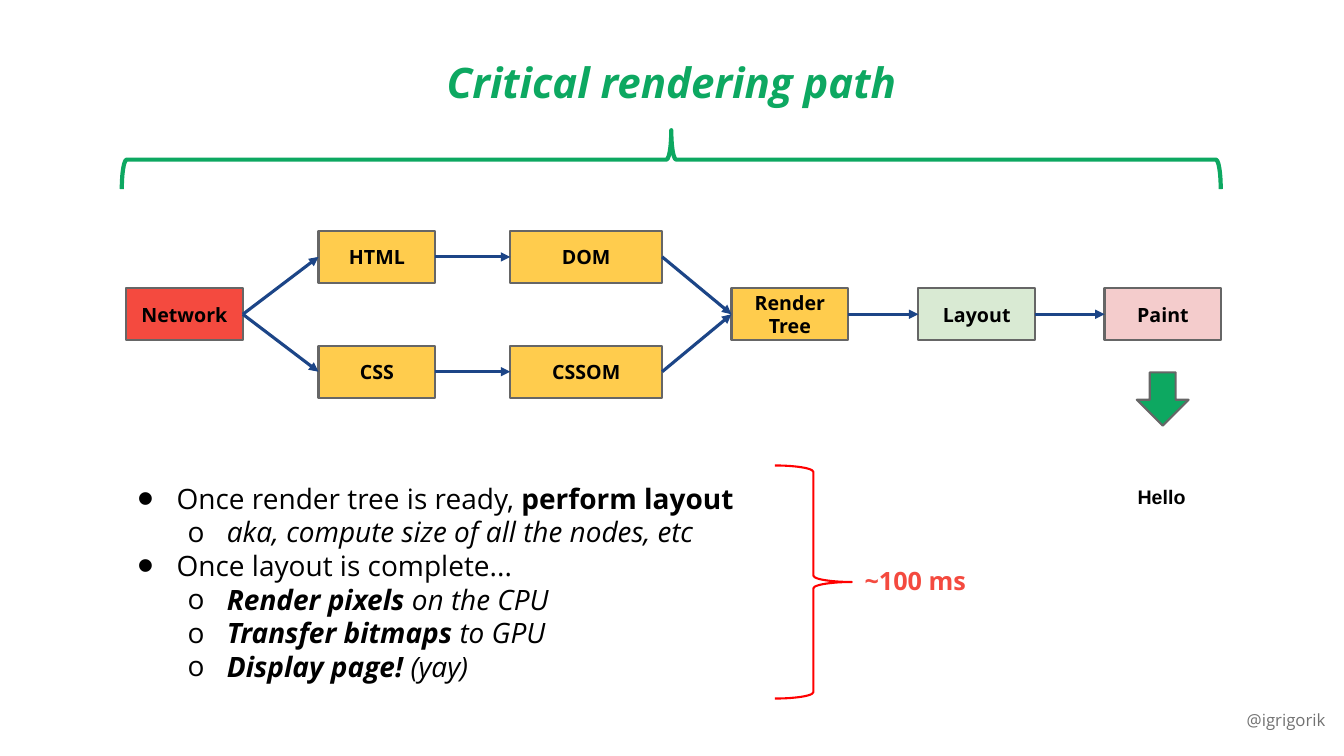
from pptx import Presentation
from pptx.dml.color import RGBColor
from pptx.enum.shapes import MSO_CONNECTOR, MSO_SHAPE
from pptx.enum.text import MSO_ANCHOR, MSO_AUTO_SIZE, PP_ALIGN
from pptx.oxml.ns import qn
from pptx.util import Pt
from lxml.etree import SubElement

BLACK = RGBColor(0x00, 0x00, 0x00)
GRAY = RGBColor(0x66, 0x66, 0x66)
FOOTER_GRAY = RGBColor(0x72, 0x72, 0x72)
YELLOW = RGBColor(0xFF, 0xCC, 0x4D)
CORAL = RGBColor(0xF4, 0x4A, 0x3F)
RED = RGBColor(0xFF, 0x00, 0x00)
PALE_GREEN = RGBColor(0xD9, 0xEA, 0xD3)
PINK = RGBColor(0xF4, 0xCC, 0xCC)
GREEN = RGBColor(0x0D, 0xA8, 0x61)
NAVY = RGBColor(0x1C, 0x45, 0x87)


def add_run(paragraph, text, size, color=BLACK, bold=False, italic=False, font="Open Sans"):
    run = paragraph.add_run()
    run.text = text
    run.font.name = font
    run.font.size = Pt(size)
    run.font.color.rgb = color
    run.font.bold = bold
    run.font.italic = italic


def set_frame(shape, anchor=MSO_ANCHOR.TOP):
    frame = shape.text_frame
    frame.word_wrap = True
    frame.auto_size = MSO_AUTO_SIZE.NONE
    frame.vertical_anchor = anchor
    frame.margin_left = frame.margin_right = Pt(7.2)
    frame.margin_top = frame.margin_bottom = Pt(7.2)
    return frame


prs = Presentation()
prs.slide_width, prs.slide_height = Pt(960), Pt(540)
slide = prs.slides.add_slide(prs.slide_layouts[5])
shapes = slide.shapes

# Title
title = shapes.title
title.left, title.top, title.width, title.height = Pt(133.5), Pt(33), Pt(692.5), Pt(47)
heading = set_frame(title).paragraphs[0]
heading.alignment = PP_ALIGN.CENTER
add_run(heading, "Critical rendering path", 30, GREEN, bold=True, italic=True)

# Pipeline stages: name, left, row relative to the middle, width, fill
MIDDLE, ROW_STEP, STAGE_HEIGHT = 224.5, 41, 37
stages = [
    ("HTML", 227.5, -1, 83.5, YELLOW),
    ("CSS", 227.5, 1, 83.5, YELLOW),
    ("DOM", 364.5, -1, 108.5, YELLOW),
    ("CSSOM", 364.5, 1, 108.5, YELLOW),
    ("Render Tree", 522.5, 0, 83.5, YELLOW),
    ("Layout", 656, 0, 83.5, PALE_GREEN),
    ("Paint", 789, 0, 83.5, PINK),
    ("Network", 90, 0, 83.5, CORAL),
]
stage_boxes = {}
for name, left, row, width, fill in stages:
    top = MIDDLE + row * ROW_STEP - STAGE_HEIGHT / 2
    box = shapes.add_shape(MSO_SHAPE.RECTANGLE, Pt(left), Pt(top), Pt(width), Pt(STAGE_HEIGHT))
    box.shadow.inherit = False
    box.fill.solid()
    box.fill.fore_color.rgb = fill
    box.line.color.rgb = GRAY
    box.line.width = Pt(1.5)
    label = set_frame(box, MSO_ANCHOR.MIDDLE).paragraphs[0]
    label.alignment = PP_ALIGN.CENTER
    add_run(label, name, 14, bold=True)
    stage_boxes[name] = box

# Arrows between stages
flows = [
    ("Network", "HTML"), ("Network", "CSS"), ("HTML", "DOM"), ("CSS", "CSSOM"),
    ("DOM", "Render Tree"), ("CSSOM", "Render Tree"),
    ("Render Tree", "Layout"), ("Layout", "Paint"),
]
for source, target in flows:
    flow = shapes.add_connector(MSO_CONNECTOR.STRAIGHT, 0, 0, 0, 0)
    flow.begin_connect(stage_boxes[source], 3)
    flow.end_connect(stage_boxes[target], 1)
    flow.line.color.rgb = NAVY
    flow.line.width = Pt(2.25)
    SubElement(flow.line._get_or_add_ln(), qn("a:tailEnd"), type="triangle")
    SubElement(flow._element.spPr, qn("a:effectLst"))

# Braces over the pipeline and beside the bullets
braces = [
    (458.5, -278.5, 42, 785, 270, GREEN, 3),
    (553.5, 332.5, 55, 166.5, 0, RED, 1.5),
]
for left, top, width, height, rotation, color, weight in braces:
    brace = shapes.add_shape(MSO_SHAPE.RIGHT_BRACE, Pt(left), Pt(top), Pt(width), Pt(height))
    brace.rotation = rotation
    brace.adjustments[0] = 0.083
    brace.shadow.inherit = False
    brace.fill.background()
    brace.line.color.rgb = color
    brace.line.width = Pt(weight)

# Arrow from Paint to the painted result
paint_arrow = shapes.add_shape(MSO_SHAPE.RIGHT_ARROW, Pt(811.5), Pt(266.5), Pt(38), Pt(37))
paint_arrow.rotation = 90
paint_arrow.shadow.inherit = False
paint_arrow.fill.solid()
paint_arrow.fill.fore_color.rgb = GREEN
paint_arrow.line.color.rgb = GRAY
paint_arrow.line.width = Pt(1.5)

# Short texts: result, duration, author handle
notes = [
    ("Hello", 805.5, 339, 50, 33, 14, BLACK, True, "Arial", PP_ALIGN.LEFT),
    ("~100 ms", 610.5, 396.5, 124.5, 38, 18, CORAL, True, "Open Sans", PP_ALIGN.LEFT),
    ("@igrigorik", 747.5, 499.5, 206.5, 37, 12, FOOTER_GRAY, False, "Open Sans", PP_ALIGN.RIGHT),
]
for text, left, top, width, height, size, color, bold, font, alignment in notes:
    note = shapes.add_textbox(Pt(left), Pt(top), Pt(width), Pt(height))
    paragraph = set_frame(note).paragraphs[0]
    paragraph.alignment = alignment
    add_run(paragraph, text, size, color, bold, font=font)

# Bullets: level, then (text, bold) runs; the second level is italic
bullets = [
    (0, [("Once render tree is ready, ", False), ("perform layout", True)]),
    (1, [("aka, compute size of all the nodes, etc", False)]),
    (0, [("Once layout is complete...", False)]),
    (1, [("Render pixels", True), (" on the CPU", False)]),
    (1, [("Transfer bitmaps", True), (" to GPU", False)]),
    (1, [("Display page!", True), (" (yay)", False)]),
]
steps = shapes.add_textbox(Pt(83), Pt(314.5), Pt(480), Pt(202.5))
steps_frame = set_frame(steps, MSO_ANCHOR.MIDDLE)
for index, (level, parts) in enumerate(bullets):
    step = steps_frame.add_paragraph() if index else steps_frame.paragraphs[0]
    step.level = level
    props = step._p.get_or_add_pPr()
    props.set("marL", str(Pt(36 * (level + 1))))
    props.set("indent", str(Pt(-28)))
    bullet_color = SubElement(props, qn("a:buClr"))
    SubElement(bullet_color, qn("a:srgbClr"), val=str(BLACK))
    SubElement(props, qn("a:buSzPct"), val="100000" if level else "167000")
    SubElement(props, qn("a:buFont"), typeface="Open Sans" if level else "Arial")
    SubElement(props, qn("a:buChar"), char="o" if level else "•")
    for text, bold in parts:
        add_run(step, text, 20, bold=bold, italic=level == 1)

prs.save("out.pptx")
